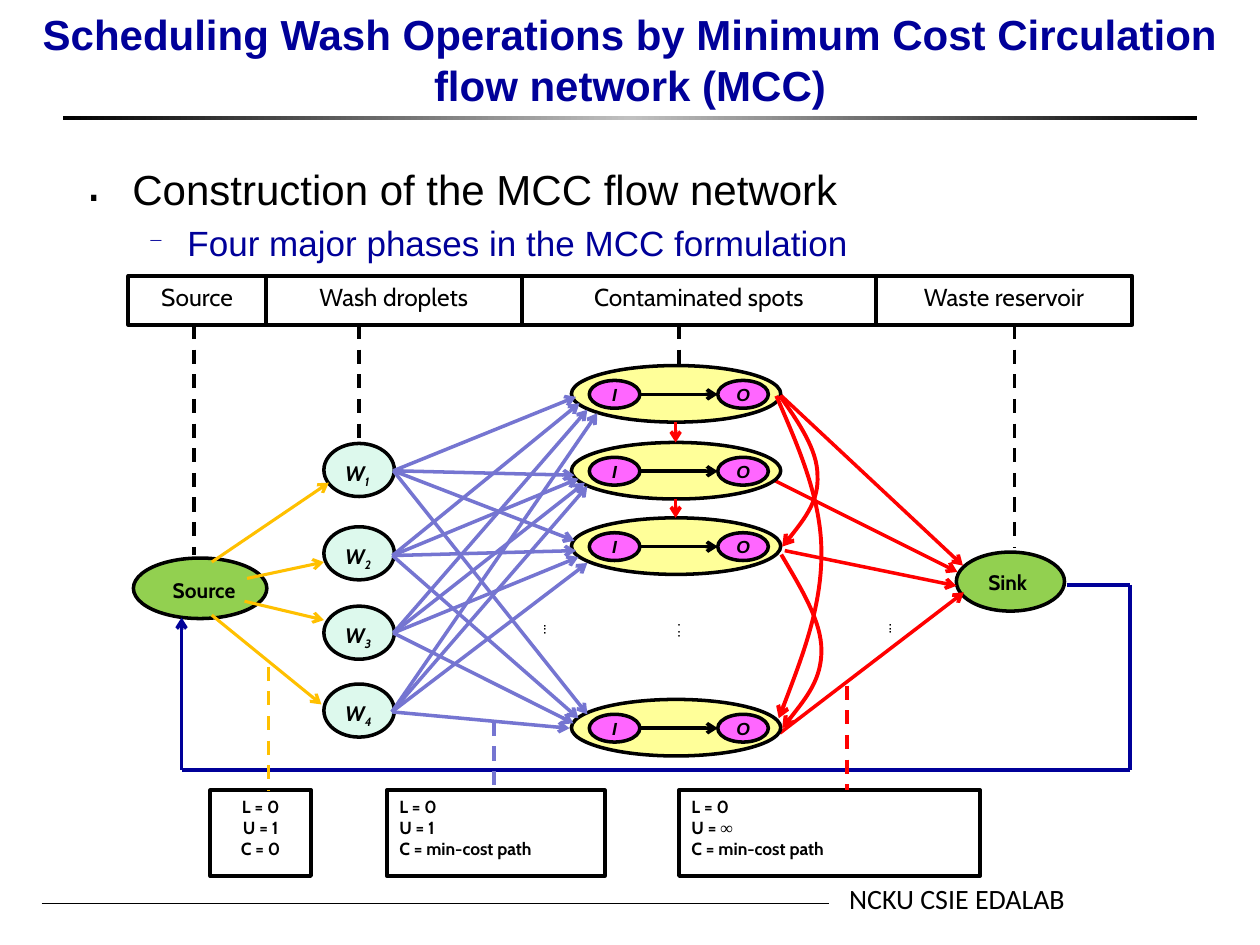
from copy import deepcopy
from dataclasses import dataclass

from pptx import Presentation
from pptx import util as u
from pptx.dml.color import RGBColor
from pptx.enum import dml, shapes, text
from pptx.oxml.ns import qn
from lxml import etree

BLACK, WHITE, NAVY = "000000", "FFFFFF", "000099"
GOLD, VIOLET, RED, GREEN = "FFC000", "7575D1", "FF0000", "92D050"
MINT, YELLOW, PINK, SILVER = "DDF9ED", "FFFF99", "FF66FF", "C0C0C0"
OVAL, RECT = shapes.MSO_SHAPE.OVAL, shapes.MSO_SHAPE.RECTANGLE
CENTER = text.PP_ALIGN.CENTER


def rgb(code):
    return RGBColor.from_string(code)


def add_run(paragraph, words, size, font="Cabin", color=BLACK, bold=False, italic=False):
    run = paragraph.add_run()
    run.text = words
    run.font.size, run.font.name = u.Pt(size), font
    run.font.bold, run.font.italic = bold, italic
    run.font.color.rgb = rgb(color)
    return run


def add_arrowhead(line):
    tail = etree.SubElement(line._get_or_add_ln(), qn("a:tailEnd"))
    tail.set("type", "arrow")


def set_bullet(paragraph, char, color, percent, margin, hanging):
    props = paragraph._p.get_or_add_pPr()
    props.set("marL", str(u.Cm(margin)))
    props.set("indent", str(-u.Cm(hanging)))
    tint = etree.SubElement(props, qn("a:buClr"))
    etree.SubElement(tint, qn("a:srgbClr")).set("val", color)
    etree.SubElement(props, qn("a:buSzPct")).set("val", str(percent * 1000))
    etree.SubElement(props, qn("a:buChar")).set("char", char)


@dataclass
class Region:
    """Part of the slide; its methods take centimetres from its top left corner."""
    slide: object
    left: float
    top: float

    def at(self, x, y):
        return u.Cm(self.left + x), u.Cm(self.top + y)

    def shape(self, kind, x, y, width, height, fill=None, weight=2):
        item = self.slide.shapes.add_shape(kind, *self.at(x, y), u.Cm(width), u.Cm(height))
        item.shadow.inherit = False
        if fill:
            item.fill.solid()
            item.fill.fore_color.rgb = rgb(fill)
        else:
            item.fill.background()
        item.line.color.rgb = rgb(BLACK)
        item.line.width = u.Pt(weight)
        return item

    def text(self, x, y, width, height, wrap=True):
        box = self.slide.shapes.add_textbox(*self.at(x, y), u.Cm(width), u.Cm(height))
        box.text_frame.word_wrap = wrap
        return box

    def line(self, start, end, color, weight=2, arrow=False, dashed=False):
        link = self.slide.shapes.add_connector(
            shapes.MSO_CONNECTOR.STRAIGHT, *self.at(*start), *self.at(*end))
        link.line.color.rgb = rgb(color)
        link.line.width = u.Pt(weight)
        if dashed:
            link.line.dash_style = dml.MSO_LINE.DASH
        if arrow:
            add_arrowhead(link.line)
        etree.SubElement(link._element.spPr, qn("a:effectLst"))

    def curve(self, points, color):
        """Arrow along cubic curves: a start, then three points for each curve."""
        start, *rest = [self.at(*point) for point in points]
        builder = self.slide.shapes.build_freeform(*start)
        builder.add_line_segments(rest, close=False)
        bow = builder.convert_to_shape()
        bow.shadow.inherit = False
        bow.fill.background()
        bow.line.color.rgb = rgb(color)
        bow.line.width = u.Pt(2.25)
        add_arrowhead(bow.line)
        outline = next(bow._element.iter(qn("a:path")))
        segments = outline.findall(qn("a:lnTo"))
        for first in range(0, len(segments), 3):
            bezier = etree.SubElement(outline, qn("a:cubicBezTo"))
            for segment in segments[first:first + 3]:
                bezier.append(segment[0])
                outline.remove(segment)


def heading(region, width, height):
    title = region.slide.shapes.title
    title.left, title.top = region.at(0, 0)
    title.width, title.height = u.Cm(width), u.Cm(height)
    frame = title.text_frame
    frame.auto_size, frame.word_wrap = text.MSO_AUTO_SIZE.NONE, True
    frame.vertical_anchor = text.MSO_ANCHOR.BOTTOM
    frame.paragraphs[0].alignment = CENTER
    add_run(frame.paragraphs[0], "Scheduling Wash Operations by Minimum Cost Circulation "
            "flow network (MCC)", 24, "Arial", NAVY, bold=True)

    rule = region.shape(RECT, 1.27, height, width - 2.54, 0.08)
    rule.line.fill.background()
    rule.fill.gradient()
    rule.fill.gradient_angle = 0
    stops = next(rule._element.iter(qn("a:gsLst")))
    stops.insert(1, deepcopy(stops[0]))
    for stop, position, color in zip(rule.fill.gradient_stops, (0, 0.5, 1), (BLACK, SILVER, BLACK)):
        stop.position = position
        stop.color.rgb = rgb(color)


def outline_points(region, width, height):
    frame = region.text(0, 0, width, height).text_frame
    topic, detail = frame.paragraphs[0], frame.add_paragraph()
    set_bullet(topic, "․", BLACK, 120, 0.95, 0.95)
    set_bullet(detail, "─", NAVY, 55, 2.06, 0.79)
    detail.level = 1
    detail.space_before = u.Pt(4)
    topic.alignment = detail.alignment = text.PP_ALIGN.JUSTIFY
    add_run(topic, "Construction of the MCC flow network", 24, "Arial")
    add_run(detail, "Four major phases in the MCC formulation", 20, "Arial", NAVY)


def phase_header(region, height):
    phases = [("Source", 2.77, 1.32, 5.62), ("Wash droplets", 5.16, 4.65, 3.36),
              ("Contaminated spots", 7.14, 11.1, 1.96), ("Waste reservoir", 5.16, 17.86, 5.49)]
    x = 0
    for phase, width, guide_x, guide_end in phases:
        region.line((guide_x, height), (guide_x, guide_end), BLACK, dashed=True)
        cell = region.shape(RECT, x, 0, width, height, WHITE, 2.25)
        frame = cell.text_frame
        frame.word_wrap = False
        frame.vertical_anchor = text.MSO_ANCHOR.TOP
        frame.paragraphs[0].alignment = CENTER
        add_run(frame.paragraphs[0], phase, 14)
        x += width


def terminal(region, name, x, y, width, height, label_x, label_y):
    region.shape(OVAL, x, y, width, height, GREEN)
    label = region.text(label_x, label_y, 2.03, 0.76).text_frame.paragraphs[0]
    label.alignment = CENTER
    add_run(label, name, 12, bold=True)


def wash_droplet(region, number, x, y):
    region.shape(OVAL, x, y, 1.42, 1.07, MINT)
    label = region.text(x + 0.18, y + 0.21, 1.2, 0.76).text_frame.paragraphs[0]
    add_run(label, "W", 12, bold=True, italic=True)
    index = add_run(label, str(number), 12, bold=True, italic=True)
    index._r.get_or_add_rPr().set("baseline", "-25000")


def contaminated_spot(region, x, y):
    region.shape(OVAL, x, y, 4.22, 1.14, YELLOW)
    for port, offset in (("I", 0.36), ("O", 2.95)):
        frame = region.shape(OVAL, x + offset, y + 0.3, 1.02, 0.56, PINK).text_frame
        frame.word_wrap = False
        frame.vertical_anchor = text.MSO_ANCHOR.MIDDLE
        frame.paragraphs[0].alignment = CENTER
        add_run(frame.paragraphs[0], port, 10, "Arial", bold=True, italic=True)
    region.line((x + 1.38, y + 0.58), (x + 2.95, y + 0.58), BLACK, arrow=True)


def flow_network(region):
    spot_x, spot_tops = 9.02, (0.37, 1.92, 3.44, 7.1)
    for number, y in enumerate((1.94, 3.62, 5.22, 6.79), 1):
        wash_droplet(region, number, 4.03, y)
    terminal(region, "Source", 0.19, 4.25, 2.69, 1.22, 0.6, 4.51)
    terminal(region, "Sink", 16.78, 4.13, 2.18, 1.19, 16.8, 4.35)

    source_edges = [((1.77, 4.33), (4.13, 2.73)), ((2.48, 4.66), (4.03, 4.33)),
                    ((2.43, 5.12), (4.03, 5.5)), ((1.77, 5.4), (3.98, 7.2))]
    sink_edges = [((13.22, 0.95), (16.91, 4.4)), ((13.04, 2.65), (16.8, 4.53)),
                  ((13.32, 4.1), (16.78, 4.81)), ((13.22, 7.78), (16.93, 4.94))]
    for color, edges in ((GOLD, source_edges), (RED, sink_edges)):
        for start, end in edges:
            region.line(start, end, color, 1.75 if color == GOLD else 2, arrow=True)

    for y in spot_tops:
        contaminated_spot(region, spot_x, y)
    for above, below in zip(spot_tops[:2], spot_tops[1:3]):
        region.line((spot_x + 2.1, above + 1.14), (spot_x + 2.1, below), RED, arrow=True)

    droplet_edges = {
        (5.43, 2.49): [(9.11, 1), (9.08, 2.58), (9.08, 3.9), (9.34, 7.4)],
        (5.41, 4.2): [(9.18, 1.13), (9.16, 2.65), (9.11, 4.1), (9.16, 7.48)],
        (5.43, 5.76): [(9.34, 1.26), (9.29, 2.73), (9.16, 4.23), (9.06, 7.58)],
        (5.4, 7.35): [(9.54, 1.33), (9.34, 2.8), (9.34, 4.35), (8.98, 7.68)]}
    for start, ends in droplet_edges.items():
        for end in ends:
            region.line(start, end, VIOLET, arrow=True)

    for bow in (
            [(13.22, 0.98), (13.6, 1.51), (13.98, 2.07), (13.98, 2.58),
             (14.01, 3.08), (13.65, 3.57), (13.27, 4.02)],
            [(13.15, 0.98), (13.6, 2.02), (14.06, 3.06), (14.06, 4.15),
             (14.06, 5.24), (13.63, 6.36), (13.2, 7.48)],
            [(13.25, 4.18), (13.65, 4.86), (14.06, 5.52), (14.06, 6.11),
             (14.06, 6.69), (13.68, 7.17), (13.27, 7.68)]):
        region.curve(bow, RED)

    circulation = [(19.01, 4.79), (20.28, 4.79), (20.28, 8.52), (1.16, 8.52), (1.16, 5.45)]
    for start, end in zip(circulation, circulation[1:]):
        region.line(start, end, NAVY, arrow=end == circulation[-1])

    for dots, *place in (("...", 8.12, 5.4, 0.89, 0.76), (". ..", 10.86, 5.42, 0.89, 0.69),
                         ("...", 14.92, 5.09, 0.76, 1.22)):
        ellipsis = region.text(*place, wrap=False)
        ellipsis.rotation = 90
        add_run(ellipsis.text_frame.paragraphs[0], dots, 10)


def edge_bounds(region, height):
    """Boxes with lower bound, upper bound and cost, each tied to its kind of edge."""
    bounds = [(0, 2.03, CENTER, "1", "0", GOLD, 1.17, -2.49),
              (3.56, 4.39, text.PP_ALIGN.LEFT, "1", "min-cost path", VIOLET, 5.72, -1.38),
              (9.45, 6.07, text.PP_ALIGN.LEFT, "∞", "min-cost path", RED, 12.83, -2.11)]
    for x, width, align, upper, cost, color, guide_x, guide_top in bounds:
        frame = region.shape(RECT, x, 0, width, height, weight=2.25).text_frame
        frame.vertical_anchor = text.MSO_ANCHOR.TOP
        for row, (symbol, value) in enumerate((("L", "0"), ("U", upper), ("C", cost))):
            paragraph = frame.add_paragraph() if row else frame.paragraphs[0]
            paragraph.alignment = align
            add_run(paragraph, f"{symbol} = ", 10, bold=True)
            add_run(paragraph, value, 10, "Times New Roman" if value == "∞" else "Cabin", bold=True)
        region.line((guide_x, guide_top), (guide_x, 0), color, dashed=True)


def footer(region):
    region.line((0, 0.56), (15.87, 0.56), BLACK, 0.5)
    lab = region.text(16.03, 0, 5.56, 0.94).text_frame.paragraphs[0]
    add_run(lab, "NCKU CSIE EDALAB", 16, "Calibri")


def main():
    deck = Presentation()
    deck.slide_width, deck.slide_height = u.Cm(25.4), u.Cm(19.05)
    slide = deck.slides.add_slide(deck.slide_layouts[5])
    heading(Region(slide, 0, 0), 25.4, 2.34)
    footer(Region(slide, 0.84, 17.65))
    outline_points(Region(slide, 1.47, 3.18), 22.43, 13.77)
    flow_network(Region(slide, 2.5, 7))
    edge_bounds(Region(slide, 4.24, 15.93), 1.73)
    phase_header(Region(slide, 2.59, 5.56), 0.99)
    deck.save("out.pptx")


if __name__ == "__main__":
    main()
